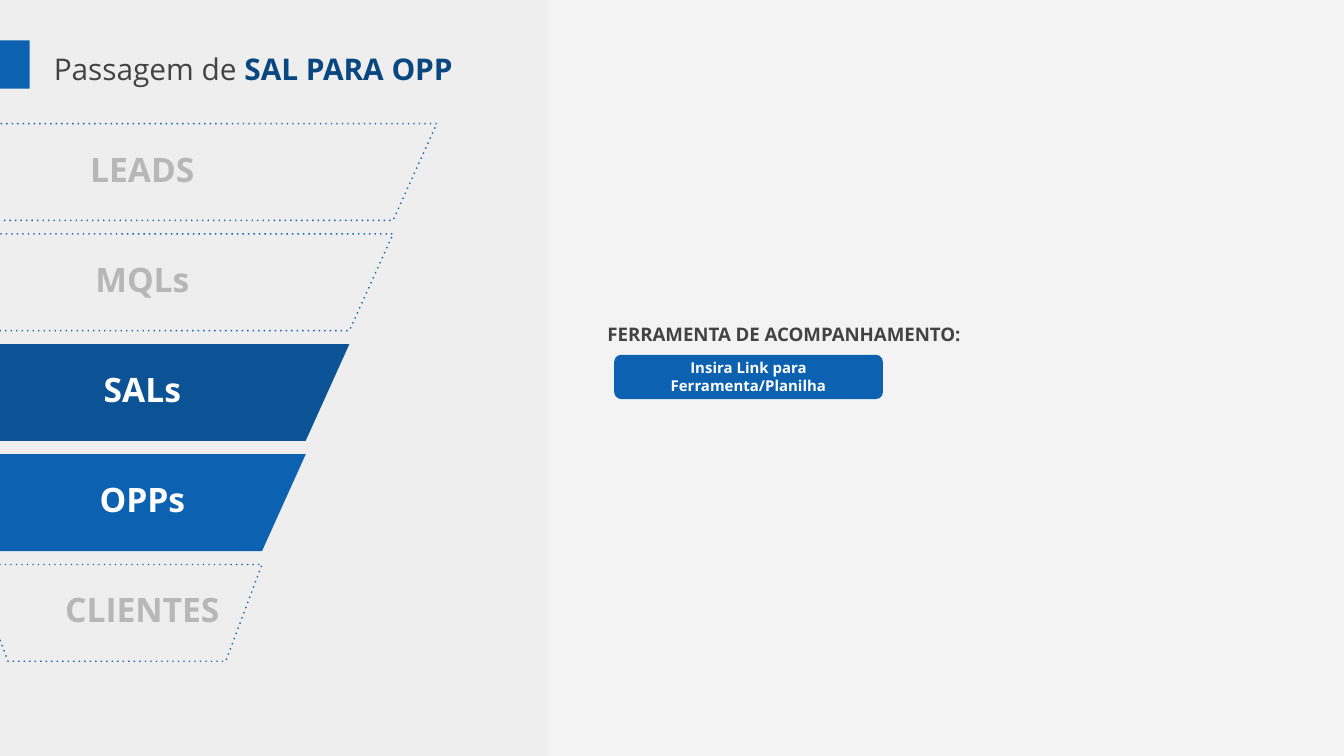
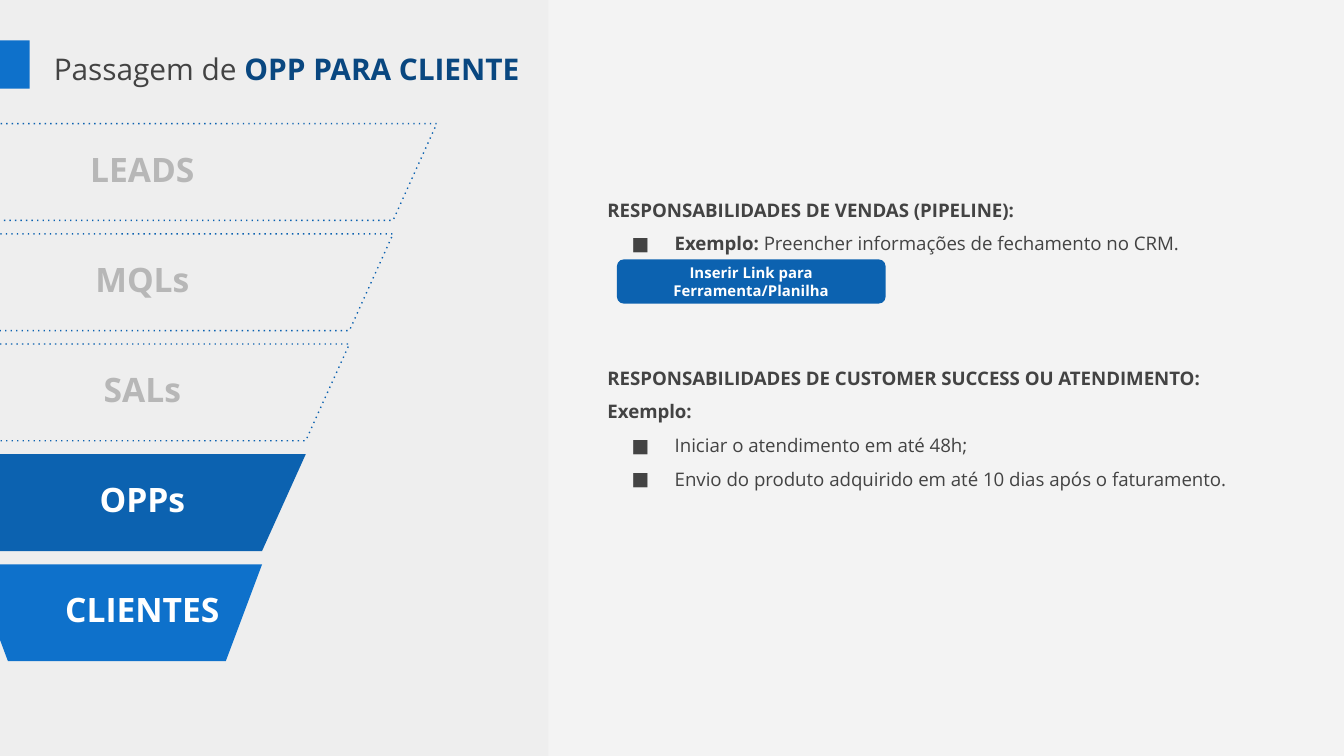
from lxml.etree import SubElement
from pptx import Presentation
from pptx.dml.color import RGBColor
from pptx.enum.dml import MSO_LINE
from pptx.enum.shapes import MSO_SHAPE
from pptx.enum.text import MSO_ANCHOR, MSO_AUTO_SIZE, PP_ALIGN
from pptx.oxml.ns import qn
from pptx.util import Inches, Pt

FONT = "Open Sans"
COLORS = {
    "background": "F3F3F3",
    "panel": "EEEEEE",
    "text": "434343",
    "title": "094780",
    "muted": "B7B7B7",
    "white": "FFFFFF",
    "dark_blue": "0B5394",
    "blue": "0C62B0",
    "light_blue": "0E71CB",
}

CELL = 0.1
COLUMNS, ROWS = 100, 56.25
PANEL_COLUMNS = 40.8

STAGES = ["LEADS", "MQLs", "SALs", "OPPs", "CLIENTES"]
FUNNEL_TOP, STAGE_PITCH, STAGE_ROWS = 9.2, 8.2, 7.2
FUNNEL_AXIS, FUNNEL_HALF, STAGE_STEP = 8.7, 23.8, 3.25
SLANT, LAST_SLANT = 3.25, 2.7
LABEL_COLUMNS, LABEL_ROWS = 15.6, 6.7

BODY_LINE = 18
BODY_LINE_ROWS = BODY_LINE / 72 / CELL


def grid(*cells):
    return [Inches(round(cell * CELL, 3)) for cell in cells]


def color(name):
    return RGBColor.from_string(COLORS[name])


def paint(shape, fill):
    shape.shadow.inherit = False
    shape.fill.solid()
    shape.fill.fore_color.rgb = color(fill)
    shape.line.fill.background()


def style_run(run, size, ink, bold):
    run.font.name = FONT
    run.font.size = Pt(size)
    run.font.bold = bold
    run.font.color.rgb = color(ink)


def set_frame(shape, anchor, bottom_rows=1):
    frame = shape.text_frame
    frame.word_wrap = True
    frame.auto_size = MSO_AUTO_SIZE.NONE
    frame.vertical_anchor = anchor
    frame.margin_left, frame.margin_top, frame.margin_right = grid(1, 1, 1)
    frame.margin_bottom, = grid(bottom_rows)
    return frame


def write_centered(shape, text, size, ink):
    frame = set_frame(shape, MSO_ANCHOR.MIDDLE)
    frame.text = text
    paragraph = frame.paragraphs[0]
    paragraph.alignment = PP_ALIGN.CENTER
    style_run(paragraph.runs[0], size, ink, True)


def move(placeholder, *cells):
    (placeholder.left, placeholder.top,
     placeholder.width, placeholder.height) = grid(*cells)


def add_block(slide, preset, cells, fill):
    block = slide.shapes.add_shape(preset, *grid(*cells))
    paint(block, fill)
    return block


def set_bullet(paragraph, bulleted):
    properties = paragraph._p.get_or_add_pPr()
    margin, indent = grid(5, -3.2) if bulleted else (0, 0)
    properties.set("marL", str(margin))
    properties.set("indent", str(indent))
    if not bulleted:
        SubElement(properties, qn("a:buNone"))
        return
    tint = SubElement(properties, qn("a:buClr"))
    SubElement(tint, qn("a:srgbClr")).set("val", COLORS["text"])
    SubElement(properties, qn("a:buFont")).set("typeface", FONT)
    SubElement(properties, qn("a:buChar")).set("char", "■")


def write_title(slide, lead, highlight):
    title = slide.shapes.title
    move(title, 3, 2.4, 37, 7.2)
    paragraph = set_frame(title, MSO_ANCHOR.TOP).paragraphs[0]
    paragraph.alignment = PP_ALIGN.LEFT
    paragraph.line_spacing = 1.15
    for text, ink, bold in ((lead, "text", False), (highlight, "title", True)):
        run = paragraph.add_run()
        run.text = text
        style_run(run, 16, ink, bold)


def write_body(slide, top, lines, lines_below):
    body = slide.placeholders[1]
    move(body, 44.2, top, 50.8, 47.9)
    frame = set_frame(body, MSO_ANCHOR.MIDDLE, 1 + lines_below * BODY_LINE_ROWS)
    for index, (bulleted, lines_above, strong, plain) in enumerate(lines):
        paragraph = frame.add_paragraph() if index else frame.paragraphs[0]
        paragraph.alignment = PP_ALIGN.LEFT
        paragraph.line_spacing = 1.5
        paragraph.space_before = Pt(lines_above * BODY_LINE)
        paragraph.space_after = Pt(0)
        set_bullet(paragraph, bulleted)
        for text, bold in ((strong, True), (plain, False)):
            if text:
                run = paragraph.add_run()
                run.text = text
                style_run(run, 10, "text", bold)


def add_stage(slide, index, fill):
    top = FUNNEL_TOP + index * STAGE_PITCH
    half = FUNNEL_HALF - index * STAGE_STEP
    slant = LAST_SLANT if index == len(STAGES) - 1 else SLANT
    left, right = FUNNEL_AXIS - half, FUNNEL_AXIS + half
    bottom = top + STAGE_ROWS
    outline = slide.shapes.build_freeform(*grid(left, top))
    outline.add_line_segments([
        grid(right, top), grid(right - slant, bottom), grid(left + slant, bottom),
    ])
    stage = outline.convert_to_shape()
    paint(stage, fill or "panel")
    if not fill:
        stage.line.color.rgb = color("blue")
        stage.line.width = Pt(0.75)
        stage.line.dash_style = MSO_LINE.ROUND_DOT
        for dash in stage.element.iter(qn("a:prstDash")):
            dash.set("val", "dot")
    label = slide.shapes.add_textbox(*grid(2.8, top, LABEL_COLUMNS, LABEL_ROWS))
    write_centered(label, STAGES[index], 18, "white" if fill else "muted")


def add_funnel(slide, active):
    for index, name in enumerate(STAGES):
        add_stage(slide, index, active.get(name))


def add_link_button(slide, left, top, text):
    button = add_block(slide, MSO_SHAPE.ROUNDED_RECTANGLE, (left, top, 20, 3.3), "blue")
    button.adjustments[0] = 0.16
    write_centered(button, text, 8, "white")


def prepare_layout(layout, slide):
    layout.background.fill.solid()
    layout.background.fill.fore_color.rgb = color("background")
    panel = add_block(slide, MSO_SHAPE.RECTANGLE, (0, 0, PANEL_COLUMNS, ROWS), "panel")
    layout.shapes.element.insert(2, panel.element)


def add_passage(slide, highlight, active, accent):
    write_title(slide, "Passagem de", highlight)
    add_funnel(slide, active)
    add_block(slide, MSO_SHAPE.RECTANGLE, (0, 3, 2.2, 3.6), accent)


def main():
    deck = Presentation()
    deck.slide_width, deck.slide_height = grid(COLUMNS, ROWS)
    layout = deck.slide_layouts[1]

    to_opp = deck.slides.add_slide(layout)
    prepare_layout(layout, to_opp)
    add_passage(to_opp, " SAL PARA OPP", {"SALs": "dark_blue", "OPPs": "blue"}, "blue")
    write_body(to_opp, 4.2, [
        (False, 0, "FERRAMENTA DE ACOMPANHAMENTO:", ""),
    ], 3)
    add_link_button(to_opp, 45.7, 26.4, "Insira Link para Ferramenta/Planilha")

    to_client = deck.slides.add_slide(layout)
    add_passage(to_client, " OPP PARA CLIENTE",
                {"OPPs": "blue", "CLIENTES": "light_blue"}, "light_blue")
    write_body(to_client, 2.5, [
        (False, 0, "RESPONSABILIDADES DE VENDAS (PIPELINE):", ""),
        (True, 0, "Exemplo: ", "Preencher informações de fechamento no CRM."),
        (False, 3, "RESPONSABILIDADES DE CUSTOMER SUCCESS OU ATENDIMENTO:", ""),
        (False, 0, "Exemplo:", ""),
        (True, 0, "", "Iniciar o atendimento em até 48h;"),
        (True, 0, "", "Envio do produto adquirido em até 10 dias após o faturamento."),
    ], 1)
    add_link_button(to_client, 45.9, 19.3, "Inserir Link para Ferramenta/Planilha")

    deck.save("out.pptx")


if __name__ == "__main__":
    main()
